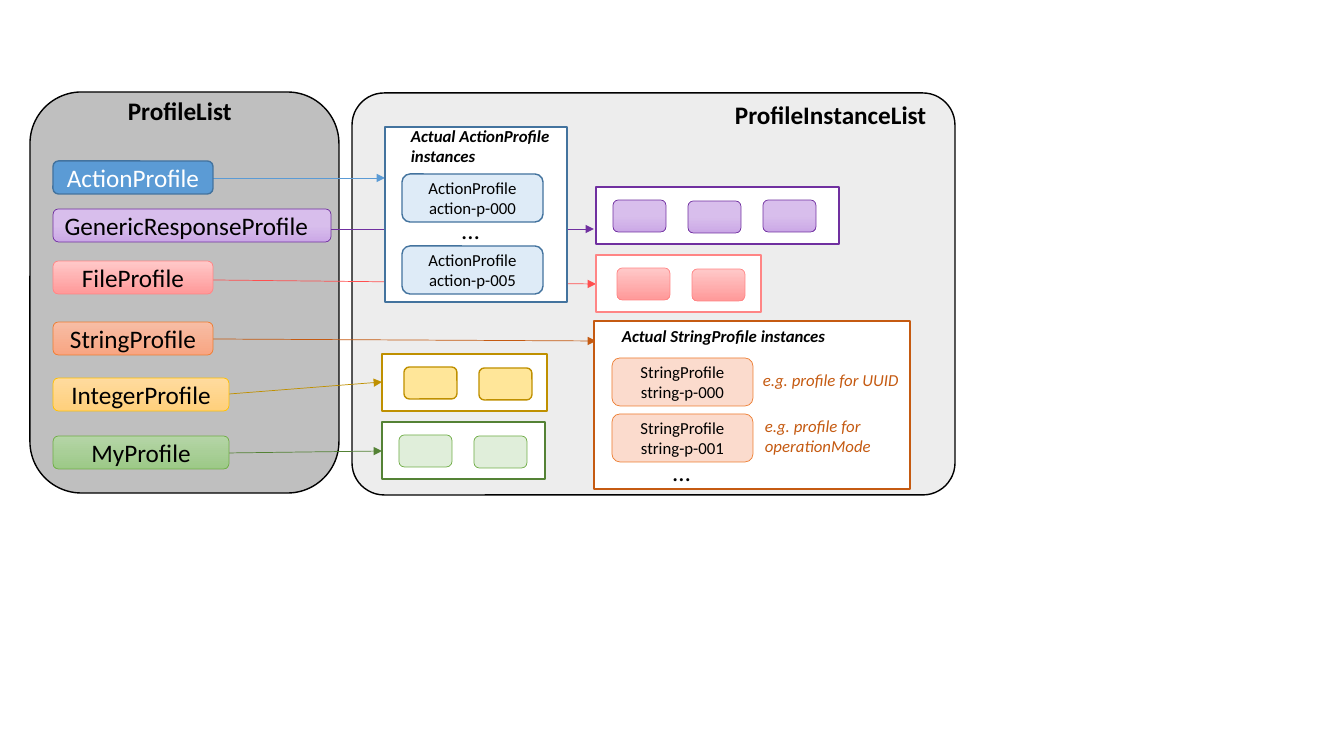
import pptx
import pptx.dml.color
import pptx.enum.shapes
import pptx.enum.text
import pptx.oxml
import pptx.oxml.ns
import pptx.util

SHAPE = pptx.enum.shapes.MSO_SHAPE
ALIGN = pptx.enum.text.PP_ALIGN
SCALE = 914400 / 100.8
COLORS = {
    "black": "000000", "white": "FFFFFF", "gray": "BFBFBF", "pale": "EDEDED",
    "blue": "5B9BD5", "navy": "43739E", "sky": "DEEBF7",
    "violet": "7030A0", "lilac": "D8BEEC", "mauve": "CBA8E6",
    "red": "FF4F4F", "rose": "FF8585", "blush": "FFC9C9", "pink": "FF9999",
    "rust": "C55A11", "orange": "ED7D31", "peach": "F7BDA5", "coral": "F8A582", "cream": "FBDBCD",
    "gold": "BF9000", "amber": "FFC000", "sand": "FFDB9E", "honey": "FFD07C", "lemon": "FFE699",
    "forest": "548235", "green": "70AD47", "sage": "B5D5A7", "moss": "9CC987", "mint": "E0EEDA",
}


def px(value):
    return pptx.util.Emu(round(value * SCALE))


def rgb(name):
    return pptx.dml.color.RGBColor.from_string(COLORS[name])


class Board:
    font = "Calibri"

    def __init__(self, deck):
        self.slide = deck.slides.add_slide(deck.slide_layouts[6])

    def paint(self, fill, tone):
        if isinstance(tone, str):
            fill.solid()
            fill.fore_color.rgb = rgb(tone)
            return
        top, end, start = tone
        fill.gradient()
        fill.gradient_angle = 270
        for stop, name, place in zip(fill.gradient_stops, (top, end), (start, 1)):
            stop.color.rgb = rgb(name)
            stop.position = place

    def letter(self, frame, lines, size, color="black", align=ALIGN.LEFT, bold=False, italic=False):
        frame.text = lines
        for para in frame.paragraphs:
            para.alignment = align
            font = para.font
            font.name, font.size = self.font, pptx.util.Pt(size)
            font.bold, font.italic = bold, italic
            font.color.rgb = rgb(color)

    def box(self, area, tone, edge, width=1.0, kind=SHAPE.ROUNDED_RECTANGLE, curve=None):
        shape = self.slide.shapes.add_shape(kind, *map(px, area))
        shape.shadow.inherit = False
        self.paint(shape.fill, tone)
        shape.line.color.rgb = rgb(edge)
        shape.line.width = pptx.util.Pt(width)
        if curve:
            shape.adjustments[0] = curve
        return shape

    def label(self, area, tone, edge, width, lines, size, color="black", align=ALIGN.CENTER):
        frame = self.box(area, tone, edge, width).text_frame
        frame.word_wrap = True
        frame.vertical_anchor = pptx.enum.text.MSO_ANCHOR.MIDDLE
        self.letter(frame, lines, size, color, align)

    def text(self, area, lines, size, wrap=True, **style):
        frame = self.slide.shapes.add_textbox(*map(px, area)).text_frame
        frame.word_wrap = wrap
        self.letter(frame, lines, size, **style)

    def arrow(self, points, color):
        link = self.slide.shapes.add_connector(
            pptx.enum.shapes.MSO_CONNECTOR.STRAIGHT, *map(px, points))
        link.line.color.rgb = rgb(color)
        link.line.width = pptx.util.Pt(0.5)
        space = pptx.oxml.ns.nsdecls("a")
        props = link._element.spPr
        props.get_or_add_ln().append(
            pptx.oxml.parse_xml(f'<a:tailEnd {space} type="triangle"/>'))
        props.append(pptx.oxml.parse_xml(f'<a:effectLst {space}/>'))


deck = pptx.Presentation()
deck.slide_width, deck.slide_height = px(1344), px(756)
board = Board(deck)

board.box((352, 93, 603, 402), "pale", "black", curve=0.08)
board.box((30, 92, 309, 401), "gray", "black")
board.text((118, 90, 125, 40), "ProfileList", 18, wrap=False, bold=True)
board.text((725, 94, 214, 40), "ProfileInstanceList", 18, wrap=False, bold=True)

lilac = ("lilac", "mauve", 0.5)
blush = ("blush", "pink", 0)
arrows = [
    ((213, 178, 385, 178), "blue"),
    ((326, 229, 594, 229), "violet"),
    ((213, 280, 596, 284), "red"),
    ((213, 339, 596, 341), "rust"),
    ((229, 394, 382, 382), "gold"),
    ((228, 453, 382, 451), "forest"),
]
for points, color in arrows:
    board.arrow(points, color)

profiles = [
    ("ActionProfile", 161, 160, "blue", "navy", 1, "white", ALIGN.CENTER),
    ("GenericResponseProfile", 209, 278, lilac, "violet", 0.5, "black", ALIGN.LEFT),
    ("FileProfile", 261, 160, blush, "rose", 0.5, "black", ALIGN.CENTER),
    ("StringProfile", 322, 160, ("peach", "coral", 0), "orange", 0.5, "black", ALIGN.CENTER),
    ("IntegerProfile", 378, 176, ("sand", "honey", 0), "amber", 0.5, "black", ALIGN.CENTER),
    ("MyProfile", 436, 176, ("sage", "moss", 0), "green", 0.5, "black", ALIGN.CENTER),
]
for name, top, wide, tone, edge, width, color, align in profiles:
    board.label((53, top, wide, 33), tone, edge, width, name, 18, color, align)

groups = [
    (596, 187, 243, "violet", 17, 3, lilac, "violet", 0.5),
    (596, 255, 165, "rose", 21, 2, blush, "rose", 0.5),
    (382, 354, 165, "gold", 22, 2, "lemon", "gold", 1),
    (382, 422, 163, "forest", 17, 2, "mint", "green", 0.5),
]
for left, top, wide, rim, inset, count, tone, edge, width in groups:
    board.box((left, top, wide, 57), "white", rim, kind=SHAPE.RECTANGLE)
    for num in range(count):
        spot = (left + inset + 75 * num, top + 13 + num % 2, 53, 32)
        board.box(spot, tone, edge, width)

details = [
    ((385, 127, 182, 175), "navy", "ActionProfile", (401, 121, 165, 50), "sky", "navy", 1,
     [(402, 174, "action-p-000"), (402, 246, "action-p-005")], (452, 209)),
    ((594, 321, 316, 168), "rust", "StringProfile", (612, 321, 237, 30), "cream", "orange", 0.5,
     [(612, 358, "string-p-000"), (612, 414, "string-p-001")], (663, 451)),
]
for area, rim, name, head, tone, edge, width, items, dots in details:
    board.box(area, "white", rim, kind=SHAPE.RECTANGLE)
    board.text(head, f"Actual {name} instances", 12, bold=True, italic=True)
    for left, top, code in items:
        board.label((left, top, 141, 48), tone, edge, width, f"{name}\n{code}", 12)
    board.text((*dots, 38, 40), "…", 18, wrap=False)

board.text((753, 365, 156, 30), "e.g. profile for UUID", 12, color="rust", italic=True)
board.text((755, 411, 160, 50), "e.g. profile for operationMode", 12, color="rust", italic=True)

deck.save("out.pptx")
